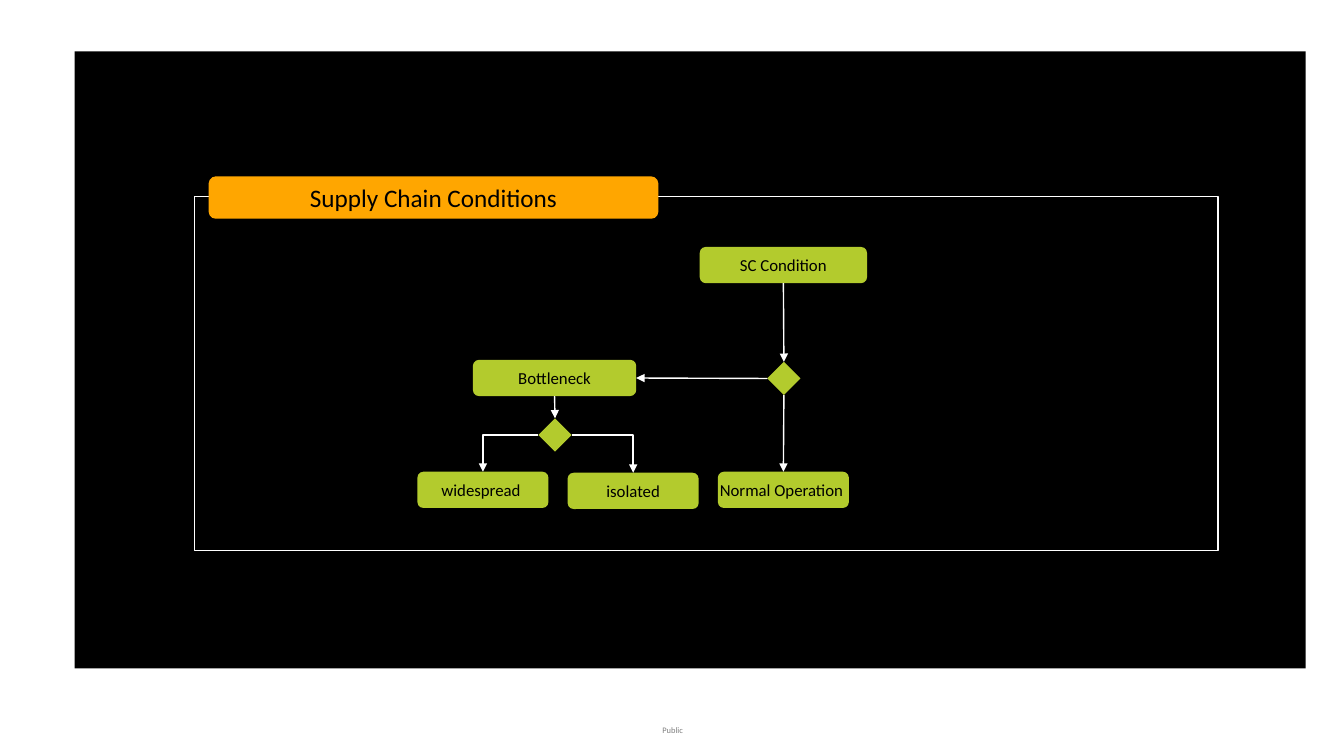
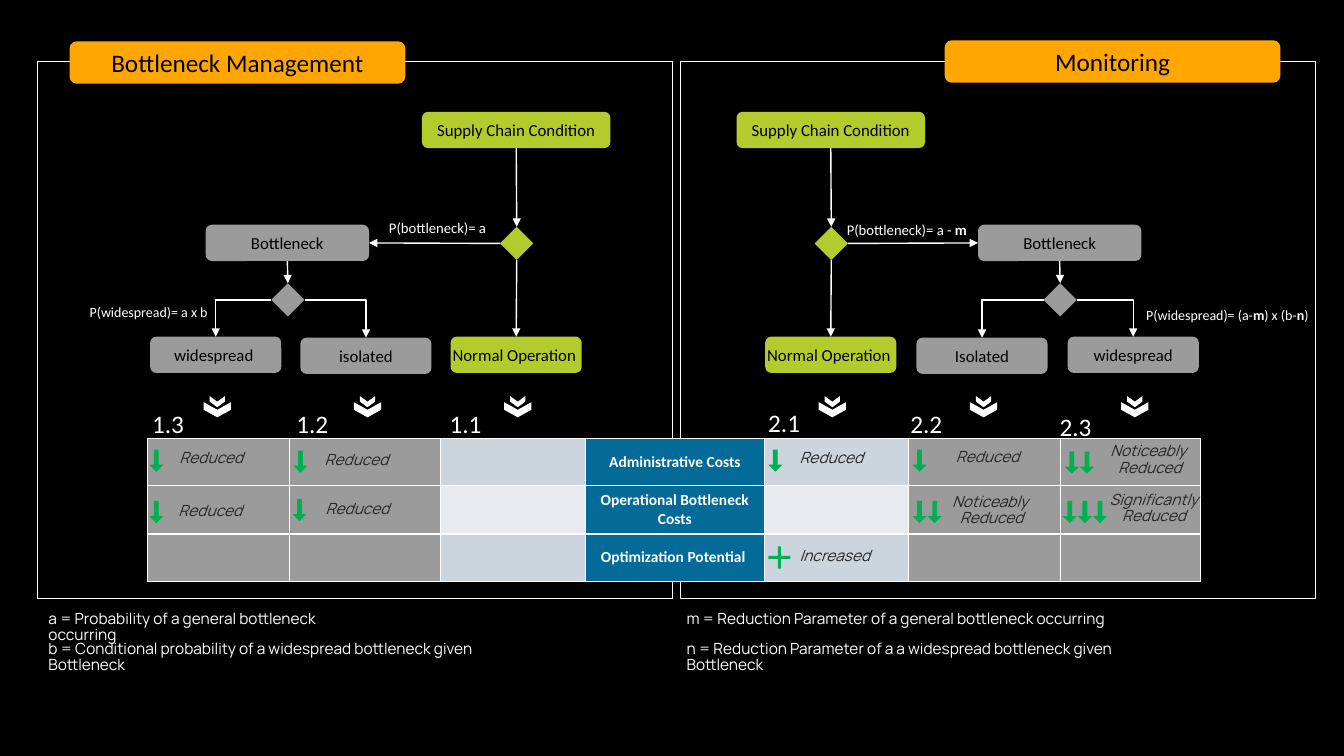
"""Builds two slides of supply chain condition trees with a table of effects."""
from dataclasses import dataclass

from lxml.etree import SubElement
from pptx import Presentation
from pptx.dml.color import RGBColor
from pptx.enum.shapes import MSO_CONNECTOR as Link, MSO_SHAPE as Preset
from pptx.enum.text import MSO_ANCHOR as Anchor, PP_ALIGN as Align
from pptx.oxml.ns import qn
from pptx.util import Emu, Pt


@dataclass(frozen=True)
class Theme:
    black: str = "000000"
    white: str = "FFFFFF"
    orange: str = "FFA600"
    lime: str = "B3CB2D"
    gray: str = "9B9B9B"
    footer_gray: str = "7F7F7F"
    blue: str = "046B99"
    pale: str = "CCD4DE"
    paler: str = "E7EBEF"
    green: str = "00B050"
    ink: str = "262626"
    font: str = "Calibri"
    note_font: str = "Manrope"
    title: float = 18
    node: float = 12
    note: float = 11
    label: float = 10.5
    small_label: float = 10
    footer: float = 6


theme = Theme()
PX = 9144
TOP, LEFT, BOTTOM, RIGHT = range(4)


def put(page, preset, area, text="", fill=None, line=None, size=theme.node, color=theme.black,
        font=theme.font, align=Align.CENTER, inset=(10, 5), paragraph=None, **extra):
    """Adds a preset shape, or a text box without one; asterisks enclose bold text."""
    bounds = [Emu(round(value * PX)) for value in area]
    if preset is None:
        box = page.shapes.add_textbox(*bounds)
    else:
        box = page.shapes.add_shape(preset, *bounds)
        box.shadow.inherit = False
        if fill:
            box.fill.solid()
            box.fill.fore_color.rgb = RGBColor.from_string(fill)
        else:
            box.fill.background()
        if line:
            box.line.color.rgb = RGBColor.from_string(line)
            box.line.width = Pt(1)
        else:
            box.line.fill.background()
    for name, value in extra.items():
        setattr(box, name, value)
    if text:
        across, down = (Emu(value * PX) for value in inset)
        frame = {"word_wrap": True, "margin_left": across, "margin_right": across,
                 "margin_top": down, "margin_bottom": down,
                 "vertical_anchor": Anchor.MIDDLE if preset else Anchor.TOP}
        for name, value in frame.items():
            setattr(box.text_frame, name, value)
        para = box.text_frame.paragraphs[0]
        for name, value in {"alignment": align, **(paragraph or {})}.items():
            setattr(para, name, value)
        for index, part in enumerate(text.split("*")):
            if part:
                span = para.add_run()
                span.text = part
                style = {"name": font, "size": Pt(size), "bold": index % 2 == 1,
                         "italic": color == theme.ink}
                for name, value in style.items():
                    setattr(span.font, name, value)
                span.font.color.rgb = RGBColor.from_string(color)
    return box


def join(page, source, source_side, target, target_side, bent=False):
    """Draws a white arrow between the sides of two shapes."""
    arrow = page.shapes.add_connector(Link.ELBOW if bent else Link.STRAIGHT, 0, 0, 0, 0)
    arrow.begin_connect(source, source_side)
    arrow.end_connect(target, target_side)
    arrow.line.color.rgb = RGBColor.from_string(theme.white)
    arrow.line.width = Pt(1)
    properties = arrow.element.spPr
    if bent:
        properties.find(qn("a:prstGeom")).set("prst", "bentConnector2")
    SubElement(properties.find(qn("a:ln")), qn("a:tailEnd"), type="triangle")
    SubElement(properties, qn("a:effectLst"))


deck = Presentation()
deck.slide_width, deck.slide_height = Emu(1333 * PX), Emu(750 * PX)
conditions, comparison = (deck.slides.add_slide(deck.slide_layouts[6]) for _ in range(2))

panels = [(conditions, (74, 51, 1221, 612)), (comparison, (0, 0, 1333, 750))]
for page, area in panels:
    put(page, Preset.RECTANGLE, area, fill=theme.black)
put(conditions, None, (657, 719, 40, 10), "Public", size=theme.footer,
    color=theme.footer_gray, align=Align.LEFT, inset=(0, 0))

sections = [
    (conditions, (193, 195, 1015, 351), (207, 175, 446, 42), "Supply Chain Conditions"),
    (comparison, (37, 61, 630, 533), (69, 41, 333, 42), "Bottleneck Management"),
    (comparison, (675, 61, 630, 533), (937, 40, 333, 42), "Monitoring"),
]
for page, outline, badge, title in sections:
    put(page, Preset.RECTANGLE, outline, line=theme.white)
    put(page, Preset.ROUNDED_RECTANGLE, badge, title, fill=theme.orange, size=theme.title)

trees = [
    (conditions, 777, 245, -1, 149, theme.lime, 166, "SC Condition", "isolated", "widespread "),
    (comparison, 512, 111, -1, 149, theme.gray, 187, "Supply Chain Condition", "isolated",
     "widespread "),
    (comparison, 824, 111, 1, 150, theme.gray, 187, "Supply Chain Condition", "Isolated",
     "widespread"),
]
for page, axis, top, side, gap, fill, root_width, root_text, near_text, far_text in trees:
    branch = axis + side * 227
    near, far = axis + side * gap, axis + side * gap * 2
    nodes = [
        (axis, 0, root_width, root_text, theme.lime, 10),
        (axis, 223, 130, "Normal Operation ", theme.lime, 0),
        (branch, 112, 162, "Bottleneck", fill, 10),
        (near, 224, 130, near_text, fill, 10),
        (far, 223, 130, far_text, fill, 10),
    ]
    root, normal, bottleneck, isolated, widespread = [
        put(page, Preset.ROUNDED_RECTANGLE, (center - width / 2, top + drop, width, 36), text,
            fill=shade, inset=(inset, 5))
        for center, drop, width, text, shade, inset in nodes]
    state, extent = [
        put(page, Preset.DIAMOND, (center - 16, top + drop, 33, 33), fill=shade)
        for center, drop, shade in [(axis, 114, theme.lime), (branch, 170, fill)]]
    outward, inward = (LEFT, RIGHT) if side < 0 else (RIGHT, LEFT)
    join(page, root, BOTTOM, state, TOP)
    join(page, state, BOTTOM, normal, TOP)
    join(page, state, outward, bottleneck, inward)
    join(page, bottleneck, BOTTOM, extent, TOP)
    join(page, extent, outward, widespread, TOP, bent=True)
    join(page, extent, inward, isolated, TOP, bent=True)
    if page is comparison:
        for center in (axis, near, far):
            for left, y, width, height in [(-6, 393, 15, 27), (-4, 391, 11, 15)]:
                put(page, Preset.CHEVRON, (center + left, y, width, height),
                    fill=theme.white, rotation=90)

labels = [
    ((376, 212, 126, 28), "P(bottleneck)= a", theme.label),
    ((79, 296, 242, 27), "P(widespread)= a x b", theme.small_label),
    ((830, 214, 141, 28), "P(bottleneck)= a - *m*", theme.label),
    ((1127, 299, 189, 28), "P(widespread)= (a-*m*) x (b-*n*)", theme.small_label),
    ((141, 400, 55, 40), "1.3", theme.title),
    ((284, 400, 55, 40), "1.2", theme.title),
    ((436, 400, 55, 40), "1.1", theme.title),
    ((752, 399, 55, 40), "2.1", theme.title),
    ((893, 400, 55, 40), "2.2", theme.title),
    ((1041, 403, 55, 40), "2.3", theme.title),
]
widths = [141, 150, 144, 177, 143, 151, 139]
headings = ["Administrative Costs", "Operational Bottleneck Costs", "Optimization Potential "]
table = comparison.shapes.add_table(
    len(headings), len(widths), *(Emu(value * PX) for value in (146, 435, sum(widths), 141))).table
table.first_row = table.horz_banding = False
for column, width in zip(table.columns, widths):
    column.width = Emu(width * PX)
for row, heading in enumerate(headings):
    table.rows[row].height = Emu(47 * PX)
    tint = theme.paler if row % 2 else theme.pale
    fills = [theme.gray] * 2 + [tint, theme.blue, tint] + [theme.gray] * 2
    for column, shade in enumerate(fills):
        cell = table.cell(row, column)
        properties = cell._tc.get_or_add_tcPr()
        for edge in ("a:lnL", "a:lnR", "a:lnT", "a:lnB"):
            border = SubElement(properties, qn(edge), w=str(Pt(1)))
            SubElement(SubElement(border, qn("a:solidFill")), qn("a:srgbClr"), val=theme.white)
        cell.fill.solid()
        cell.fill.fore_color.rgb = RGBColor.from_string(shade)
        if shade == theme.blue:
            cell.vertical_anchor = Anchor.MIDDLE
            para = cell.text_frame.paragraphs[0]
            para.alignment = Align.CENTER
            span = para.add_run()
            span.text = heading
            for name, value in {"name": theme.font, "size": Pt(theme.note), "bold": True}.items():
                setattr(span.font, name, value)
            span.font.color.rgb = RGBColor.from_string(theme.white)

for area, text, size in labels:
    put(comparison, None, area, text, size=size, color=theme.white, align=Align.LEFT)

falls = [(144, 450, 1), (144, 501, 1), (287, 451, 1), (286, 499, 1), (758, 450, 1),
         (901, 450, 1), (901, 501, 2), (1052, 452, 2), (1050, 501, 3)]
for left, top, count in falls:
    for step in range(count):
        fall = put(comparison, Preset.RIGHT_ARROW, (left + step * 15, top, 22, 14),
                   fill=theme.green, rotation=90)
        fall.adjustments[0] = 0.34
rise = put(comparison, Preset.CROSS, (762, 542, 22, 22), fill=theme.green)
rise.adjustments[0] = 0.43

effects = [
    (178, 447, "Reduced"), (177, 499, "Reduced"), (323, 497, "Reduced"), (322, 449, "Reduced"),
    (793, 447, "Reduced"), (948, 446, "Reduced"), (793, 544, "Increased"),
    (1100, 488, "Significantly Reduced"), (1096, 440, "Noticeably  Reduced"),
    (939, 490, "Noticeably  Reduced"),
]
definitions = [
    (48, 606, 302, "a = Probability of a general bottleneck occurring"),
    (48, 636, 458, "b = Conditional probability of a widespread bottleneck given Bottleneck"),
    (681, 606, 444, "m = Reduction Parameter of a general bottleneck occurring"),
    (681, 636, 444, "n = Reduction Parameter of a a widespread bottleneck given Bottleneck"),
]
notes = [((left, top, 89 if " " in text else 95, 22), text, theme.ink,
          Align.CENTER if " " in text else Align.LEFT) for left, top, text in effects]
notes += [((left, top, width, 26), text, theme.white, Align.LEFT)
          for left, top, width, text in definitions]
for area, text, color, align in notes:
    put(comparison, None, area, text, size=theme.note, color=color, font=theme.note_font,
        align=align, inset=(0, 0), paragraph={"line_spacing": 0.9, "space_after": Pt(6)})

deck.save("out.pptx")
